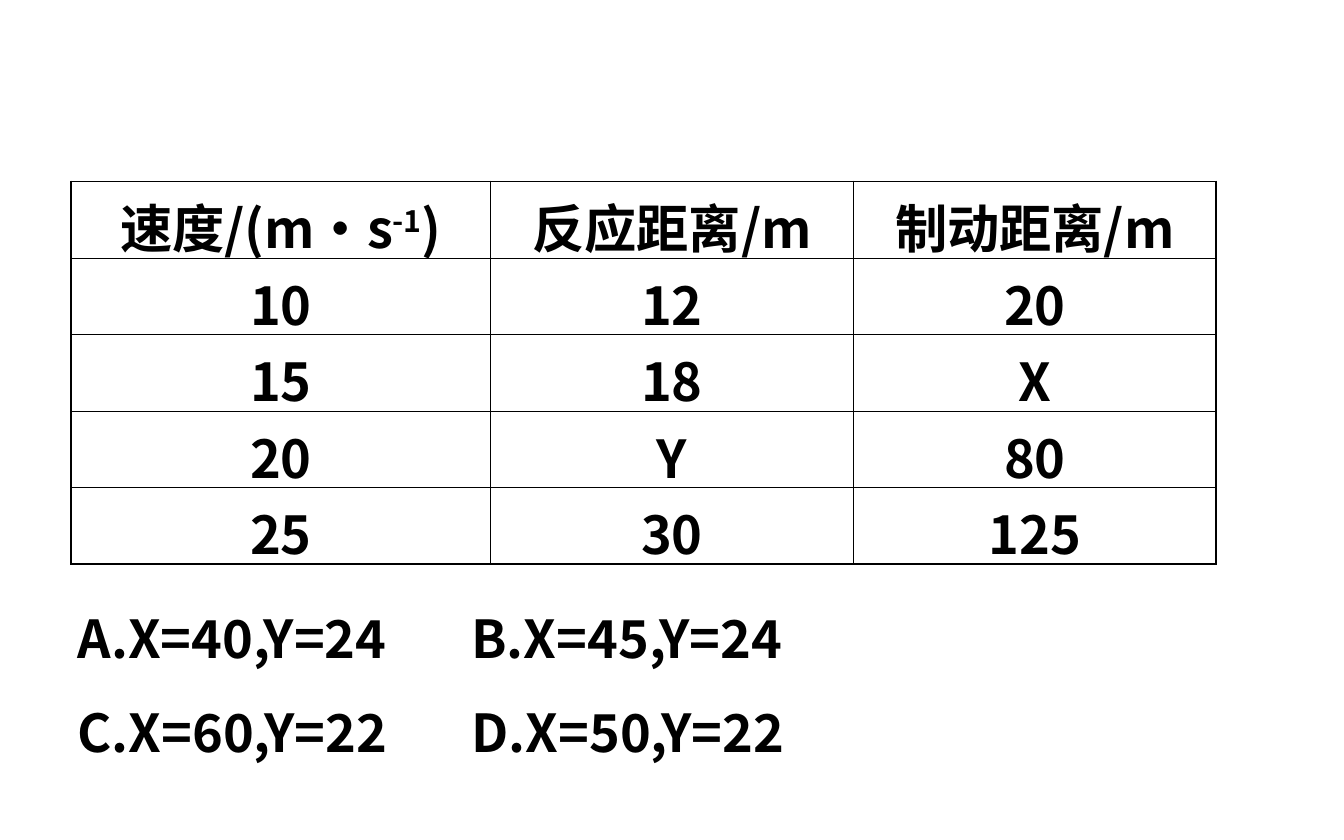
from lxml.etree import SubElement
from pptx import Presentation
from pptx.dml.color import RGBColor
from pptx.enum.text import MSO_ANCHOR, MSO_AUTO_SIZE, PP_ALIGN
from pptx.oxml.ns import qn
from pptx.util import Inches, Pt

BLACK = RGBColor(0, 0, 0)
FONT = "Noto Sans CJK SC"
THIN, THICK = Pt(0.45), Pt(0.96)
ROWS = [
    ["速度/(m·s^-1^)", "反应距离/m", "制动距离/m"],
    ["10", "12", "20"],
    ["15", "18", "X"],
    ["20", "Y", "80"],
    ["25", "30", "125"],
]
OPTIONS = ["A.X=40,Y=24\tB.X=45,Y=24", "C.X=60,Y=22\tD.X=50,Y=22"]


def write(para, text, align=PP_ALIGN.LEFT, spacing=None, tab=None):
    para.alignment = align
    if spacing:
        para.line_spacing = spacing
    if tab:
        stops = SubElement(para._p.get_or_add_pPr(), qn("a:tabLst"))
        SubElement(stops, qn("a:tab"), pos=str(tab), algn="l")
    for index, part in enumerate(text.split("^")):
        span = para.add_run()
        span.text = part
        span.font.size = Pt(28)
        span.font.bold = True
        span.font.name = FONT
        span.font.color.rgb = BLACK
        properties = span.font._element
        SubElement(properties, qn("a:ea"), typeface=FONT)
        if index % 2:
            properties.set("baseline", "30000")


def add_borders(cell, widths):
    properties = cell._tc.get_or_add_tcPr()
    for position, (side, width) in enumerate(widths.items()):
        line = properties.makeelement(qn(f"a:{side}"), {"w": str(width)})
        fill = SubElement(line, qn("a:solidFill"))
        SubElement(fill, qn("a:srgbClr"), val=str(BLACK))
        properties.insert(position, line)


def add_distance_table(page, left, top, widths, row_height):
    last_row, last_column = len(ROWS) - 1, len(widths) - 1
    frame = page.shapes.add_table(
        len(ROWS), len(widths), left, top, sum(widths), row_height * len(ROWS)
    )
    table = frame.table
    table.first_row = table.horz_banding = False
    for column, width in zip(table.columns, widths):
        column.width = width
    for r, values in enumerate(ROWS):
        table.rows[r].height = row_height
        for c, value in enumerate(values):
            cell = table.cell(r, c)
            cell.fill.background()
            cell.vertical_anchor = MSO_ANCHOR.MIDDLE
            add_borders(cell, {
                "lnL": THICK if c == 0 else THIN,
                "lnR": THICK if c == last_column else THIN,
                "lnT": THICK if r == 0 else THIN,
                "lnB": THICK if r == last_row else THIN,
            })
            write(cell.text_frame.paragraphs[0], value, align=PP_ALIGN.CENTER)


def add_options(page, left, top, width, height):
    box = page.shapes.add_textbox(left, top, width, height)
    frame = box.text_frame
    frame.word_wrap = True
    frame.auto_size = MSO_AUTO_SIZE.SHAPE_TO_FIT_TEXT
    for index, option in enumerate(OPTIONS):
        para = frame.add_paragraph() if index else frame.paragraphs[0]
        write(para, option, spacing=1.5, tab=Inches(2.93))


def main():
    deck = Presentation()
    deck.slide_width, deck.slide_height = Inches(10), Inches(6.25)
    page = deck.slides.add_slide(deck.slide_layouts[6])
    add_options(page, Inches(0.48), Inches(4.23), Inches(9.43), Inches(1.5))
    columns = [Inches(3.12), Inches(2.7), Inches(2.7)]
    add_distance_table(page, Inches(0.53), Inches(1.35), columns, Inches(0.57))
    deck.save("out.pptx")


if __name__ == "__main__":
    main()
